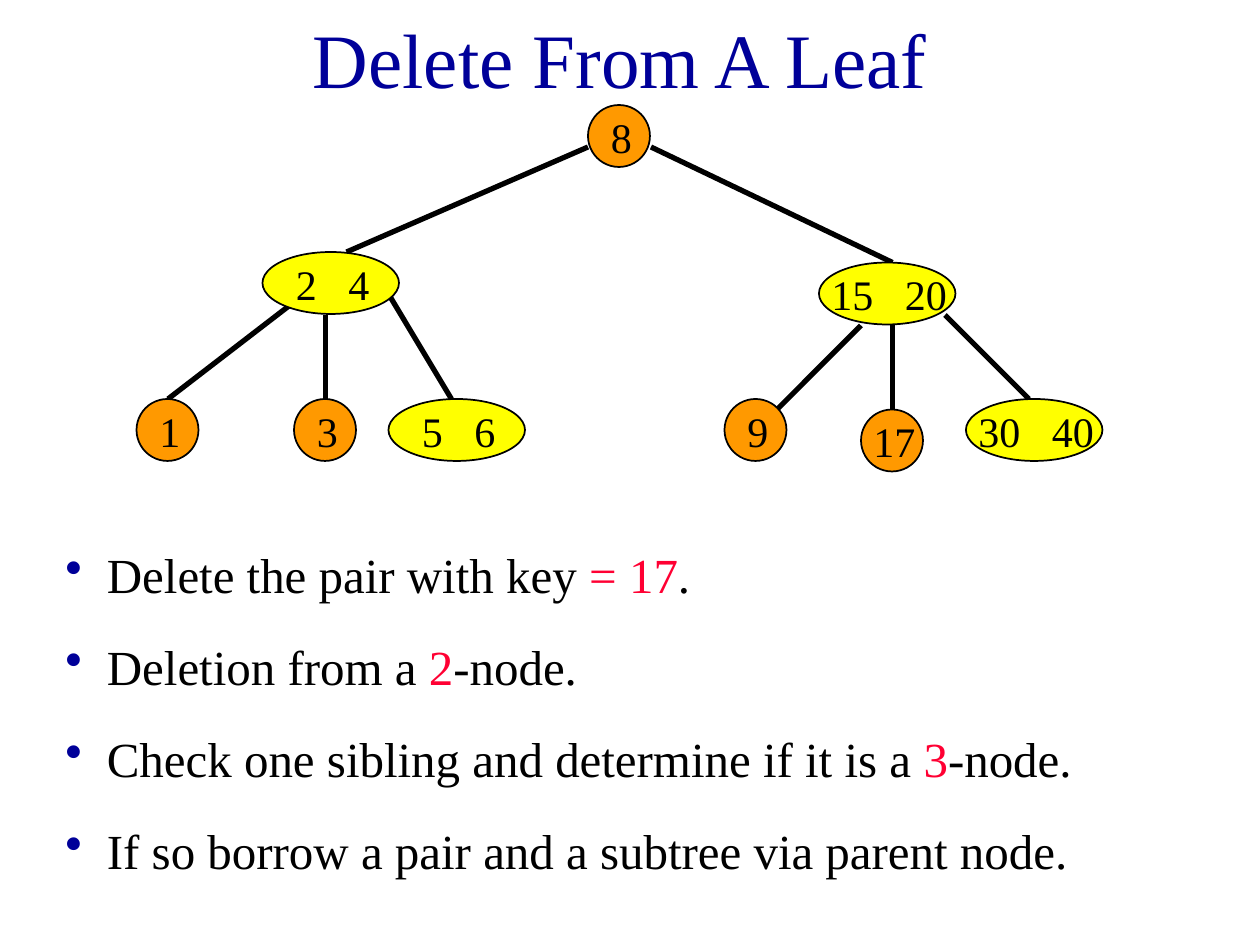
from typing import NamedTuple

from lxml.etree import SubElement
from pptx import Presentation
from pptx.dml.color import RGBColor
from pptx.enum.shapes import MSO_CONNECTOR, MSO_SHAPE
from pptx.enum.text import MSO_ANCHOR, PP_ALIGN
from pptx.oxml.ns import qn
from pptx.util import Inches, Pt

COLORS = {"title": "000099", "text": "000000", "accent": "FF0033",
          "two": "FF9900", "three": "FFFF00"}
FONT = "Times New Roman"
KEY_SIZE = 24
NODE_HEIGHT = 5.9
NODE_WIDTHS = {1: 5.9, 2: 13}


class Node(NamedTuple):
    col: float
    row: float
    keys: tuple


class Edge(NamedTuple):
    x1: float
    y1: float
    x2: float
    y2: float


# Tree positions on a grid of twelve units to the inch
NODES = [
    Node(56, 10, ("8",)),
    Node(25, 24, ("2", "4")), Node(78, 25, ("15", "20")),
    Node(13, 38, ("1",)), Node(28, 38, ("3",)), Node(37, 38, ("5", "6")),
    Node(69, 38, ("9",)), Node(82, 39, ("17",)), Node(92, 38, ("30", "40")),
]
EDGES = [
    Edge(56, 14, 33, 24), Edge(62, 14, 85, 25),
    Edge(29, 28, 16, 38), Edge(31, 30, 31, 38), Edge(37, 28, 43, 38),
    Edge(82, 31, 74, 39), Edge(85, 31, 85, 39), Edge(90, 30, 98, 38),
]
# Each bullet is a list of (text, colour) runs
BULLETS = [
    [("Delete the pair with key ", "text"), ("= 17", "accent"), (".", "text")],
    [("Deletion from a ", "text"), ("2", "accent"), ("-node.", "text")],
    [("Check one sibling and determine if it is a ", "text"),
     ("3", "accent"), ("-node.", "text")],
    [("If so borrow a pair and a subtree via parent node.", "text")],
]


def unit(n: float) -> int:
    return Inches(n / 12)


def color(name: str) -> RGBColor:
    return RGBColor.from_string(COLORS[name])


def style(font, size: float, name: str) -> None:
    font.name, font.size = FONT, Pt(size)
    font.color.rgb = color(name)


def add_edge(slide, edge: Edge) -> None:
    line = slide.shapes.add_connector(MSO_CONNECTOR.STRAIGHT, *map(unit, edge))
    line.line.color.rgb = color("text")
    line.line.width = Pt(3)
    SubElement(line._element.spPr, qn("a:effectLst"))


def add_node(slide, node: Node) -> None:
    count, digits = len(node.keys), len(node.keys[0])
    sp = slide.shapes.add_shape(
        MSO_SHAPE.OVAL, unit(node.col), unit(node.row),
        unit(NODE_WIDTHS[count]), unit(NODE_HEIGHT))
    sp.shadow.inherit = False
    sp.fill.solid()
    sp.fill.fore_color.rgb = color("two" if count == 1 else "three")
    sp.line.color.rgb = color("text")
    sp.line.width = Pt(1)

    # Key label: short keys are shifted towards the middle of the node
    shift = count if digits == 1 else 0
    width = {(1, 1): 5, (1, 2): 7, (2, 1): 10, (2, 2): 18}[count, digits]
    box = slide.shapes.add_textbox(
        unit(node.col + shift), unit(node.row), unit(width), unit(6))
    tf = box.text_frame
    tf.word_wrap = True
    p = tf.paragraphs[0]
    p.text = "\t".join(node.keys)
    if count == 2:
        # Second key starts a quarter inch after the first
        tabs = SubElement(p._p.get_or_add_pPr(), qn("a:tabLst"))
        stop = Pt(KEY_SIZE / 2 * digits) + Inches(0.25)
        SubElement(tabs, qn("a:tab"), pos=str(stop), algn="l")
    for r in p.runs:
        style(r.font, KEY_SIZE, "text")


def add_bullets(slide) -> None:
    box = slide.shapes.add_textbox(
        Inches(0.42), Inches(4.27), Inches(9.58), Inches(2.7))
    tf = box.text_frame
    tf.word_wrap = True
    for i, runs in enumerate(BULLETS):
        p = tf.add_paragraph() if i else tf.paragraphs[0]
        pPr = p._p.get_or_add_pPr()
        pPr.set("marL", str(Inches(0.33)))
        pPr.set("indent", str(-Inches(0.33)))
        bullet_color = SubElement(pPr, qn("a:buClr"))
        SubElement(bullet_color, qn("a:srgbClr"), val=COLORS["title"])
        SubElement(pPr, qn("a:buChar"), char="•")
        p.space_before = Pt(19 if i else 0)
        for text, name in runs:
            r = p.add_run()
            r.text = text
            style(r.font, 28, name)


def main() -> None:
    prs = Presentation()
    prs.slide_width, prs.slide_height = Inches(10), Inches(7.5)
    s = prs.slides.add_slide(prs.slide_layouts[5])

    # Title
    title = s.shapes.title
    title.left, title.top = Inches(0.67), 0
    title.width, title.height = Inches(8.5), Inches(0.92)
    tf = title.text_frame
    tf.text = "Delete From A Leaf"
    tf.vertical_anchor = MSO_ANCHOR.MIDDLE
    p = tf.paragraphs[0]
    p.alignment = PP_ALIGN.CENTER
    style(p.runs[0].font, 44, "title")

    # Explanation
    add_bullets(s)

    # Search tree
    for edge in EDGES:
        add_edge(s, edge)
    for node in NODES:
        add_node(s, node)

    prs.save("out.pptx")


if __name__ == "__main__":
    main()
